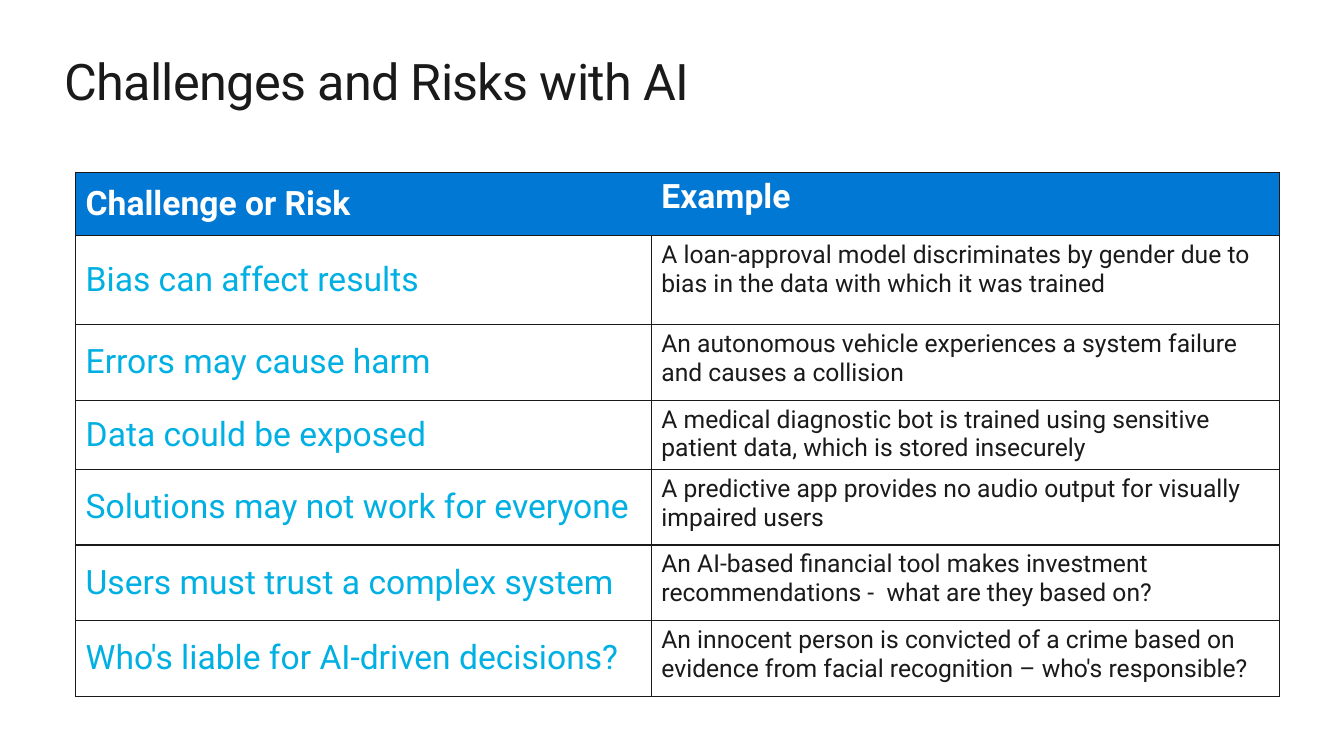
"""Build a slide with a table of AI challenges, risks and examples."""
from lxml import etree
from pptx import Presentation
from pptx import util as u
from pptx.dml import color
from pptx.enum import text
from pptx.oxml import ns

INK, BLUE, CYAN, WHITE = "1A1A1A", "0078D4", "00B0E3", "FFFFFF"


def rgb(code):
    return color.RGBColor.from_string(code)


def write(frame, words, size, tint, bold=False, space=None):
    run = frame.paragraphs[0].add_run()
    run.text = words
    run.font.name = "Roboto"
    run.font.size = u.Pt(size)
    run.font.bold = bold
    run.font.color.rgb = rgb(tint)
    if space:
        run.font._element.set("spc", str(space))


deck = Presentation()
deck.slide_width, deck.slide_height = u.Inches(13.33), u.Inches(7.5)
slide = deck.slides.add_slide(deck.slide_layouts[6])

title = slide.shapes.add_textbox(
    u.Inches(0.64), u.Inches(0.5), u.Inches(12.05), u.Inches(0.61)).text_frame
title.word_wrap = True
title.margin_left = title.margin_right = title.margin_top = title.margin_bottom = 0
write(title, "Challenges and Risks with AI", 36, INK, space=-50)

rows = [
    (0.63, "Challenge or Risk", "Example"),
    (0.88, "Bias can affect results",
     "A loan-approval model discriminates by gender due to bias in the data with which it was trained"),
    (0.75, "Errors may cause harm",
     "An autonomous vehicle experiences a system failure and causes a collision"),
    (0.67, "Data could be exposed",
     "A medical diagnostic bot is trained using sensitive patient data, which is stored insecurely"),
    (0.75, "Solutions may not work for everyone",
     "A predictive app provides no audio output for visually impaired users"),
    (0.75, "Users must trust a complex system",
     "An AI-based financial tool makes investment recommendations -  what are they based on?"),
    (0.75, "Who's liable for AI-driven decisions?",
     "An innocent person is convicted of a crime based on evidence from facial recognition – who's responsible?"),
]
widths = [5.71, 6.23]
high = sum(row[0] for row in rows)
table = slide.shapes.add_table(
    len(rows), len(widths), u.Inches(0.75), u.Inches(1.71),
    u.Inches(sum(widths)), u.Inches(high)).table
table.first_row = table.horz_banding = False
for col, width in zip(table.columns, widths):
    col.width = u.Inches(width)

for r, (tall, *words) in enumerate(rows):
    table.rows[r].height = u.Inches(tall)
    head = r == 0
    for c, word in enumerate(words):
        cell = table.cell(r, c)
        prop = cell._tc.get_or_add_tcPr()
        for side in "LRTB":
            line = etree.SubElement(prop, ns.qn("a:ln" + side), w=str(u.Pt(1)))
            if head and side == "RL"[c]:
                etree.SubElement(line, ns.qn("a:noFill"))
            else:
                fill = etree.SubElement(line, ns.qn("a:solidFill"))
                etree.SubElement(fill, ns.qn("a:srgbClr"), val=INK)
        if head:
            cell.fill.solid()
            cell.fill.fore_color.rgb = rgb(BLUE)
        else:
            cell.fill.background()
        first = c == 0
        cell.vertical_anchor = text.MSO_ANCHOR.MIDDLE if first else text.MSO_ANCHOR.TOP
        size = 24 if head or first else 17.6
        tint = WHITE if head else CYAN if first else INK
        write(cell.text_frame, word, size, tint, bold=head)

deck.save("out.pptx")
